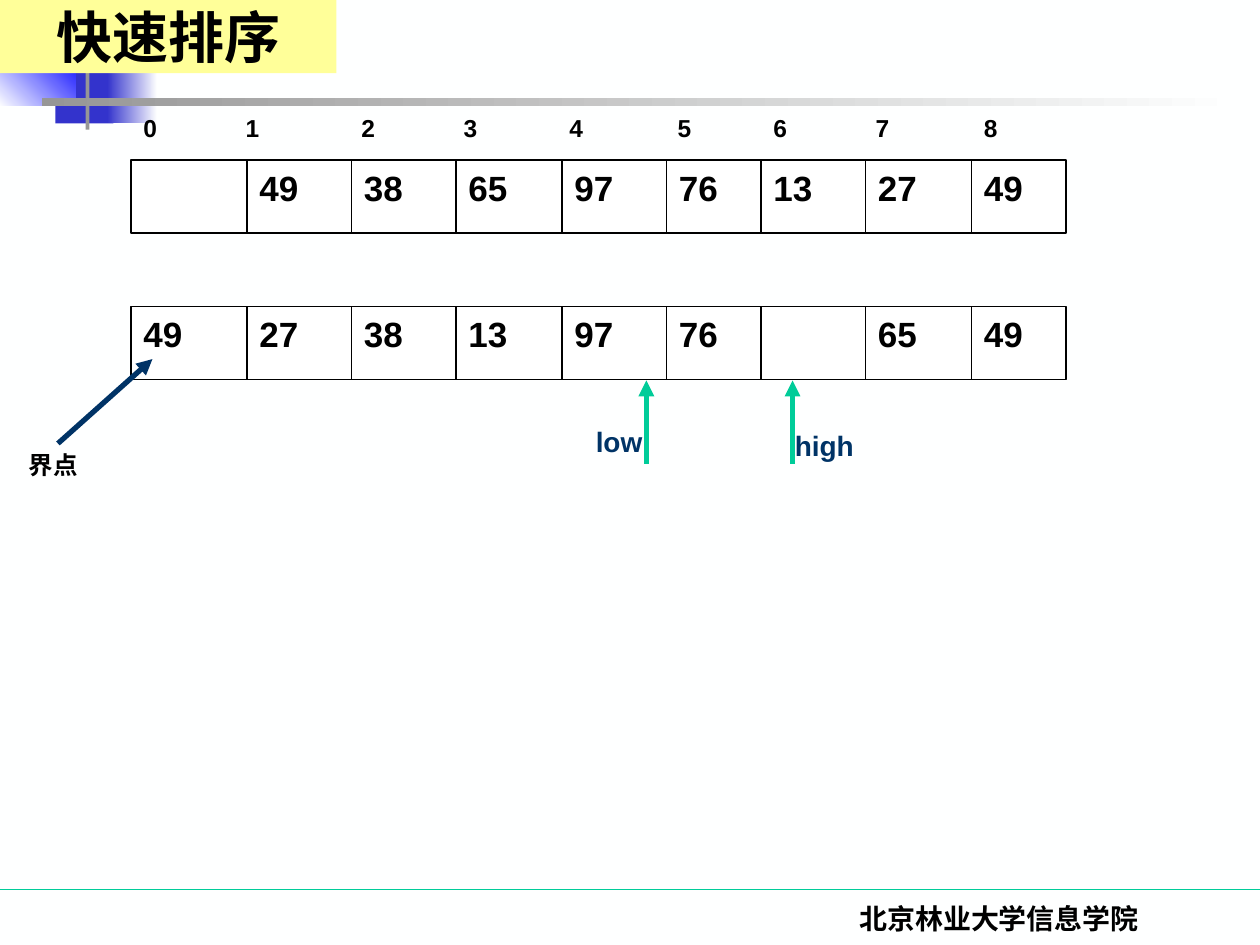
from pptx import Presentation
from pptx.dml.color import RGBColor
from pptx.enum.shapes import MSO_CONNECTOR, MSO_SHAPE
from pptx.enum.text import MSO_ANCHOR, PP_ALIGN
from pptx.oxml.ns import qn
from pptx.util import Inches, Pt
from lxml.etree import SubElement

HUES = {
    "back": "FEFFFF", "white": "FFFFFF", "black": "000000", "navy": "003366",
    "green": "00CC99", "indigo": "3333CC", "blue": "0000FF",
    "gray": "969696", "yellow": "FFFF99",
}
RGB = {name: RGBColor.from_string(code) for name, code in HUES.items()}

# Text formats
CELL = {"size": Pt(20), "name": "Arial", "bold": True}
MARK = {"size": Pt(16), "name": "Arial", "bold": True}
NOTE = {"size": Pt(14), "name": "Arial", "bold": True}
FOOT = {"size": Pt(16), "name": "Times New Roman", "bold": True}
HEAD = {"size": Pt(32), "name": "Times New Roman", "bold": True}

prs = Presentation()
prs.slide_width, prs.slide_height = Inches(10), Inches(7.5)
slide = prs.slides.add_slide(prs.slide_layouts[6])
slide.background.fill.solid()
slide.background.fill.fore_color.rgb = RGB["back"]
shapes = slide.shapes


def put_text(text, box, style, hue="black", align=PP_ALIGN.LEFT, host=None):
    host = host or shapes.add_textbox(*map(Inches, box))
    frame = host.text_frame
    frame.word_wrap = True
    para = frame.paragraphs[0]
    para.text = text
    para.alignment = align
    for run in para.runs:
        for key, value in style.items():
            setattr(run.font, key, value)
        run.font.color.rgb = RGB[hue]
    return para


def put_line(x1, y1, x2, y2, hue, width=0.75, arrow=False):
    line = shapes.add_connector(
        MSO_CONNECTOR.STRAIGHT, *map(Inches, (x1, y1, x2, y2)))
    line.line.color.rgb = RGB[hue]
    line.line.width = Pt(width)
    if arrow:
        SubElement(line.line._get_or_add_ln(), qn("a:tailEnd"), type="triangle")
    SubElement(line._element.spPr, qn("a:effectLst"))


# Footer rule and corner ornament: box, hues, gradient angle
put_line(0, 7.06, 10, 7.06, "green")
ORNAMENT = [
    ((0.31, 0, 0.48, 0.52), ["navy"], 0),
    ((0.72, 0, 0.36, 0.52), ["navy", "back"], 0),
    ((0.44, 0.46, 0.46, 0.52), ["indigo"], 0),
    ((0.85, 0.46, 0.4, 0.52), ["indigo", "back"], 0),
    ((-0.01, 0.38, 0.61, 0.46), ["back", "blue"], 45),
    ((0.68, -0.12, 0.03, 1.15), ["gray"], 0),
    ((0.33, 0.78, 9.51, 0.06), ["gray", "back"], 0),
]
for box, hues, angle in ORNAMENT:
    block = shapes.add_shape(MSO_SHAPE.RECTANGLE, *map(Inches, box))
    block.shadow.inherit = False
    block.line.fill.background()
    if len(hues) == 1:
        block.fill.solid()
        block.fill.fore_color.rgb = RGB[hues[0]]
    else:
        block.fill.gradient()
        block.fill.gradient_angle = angle
        for stop, hue in zip(block.fill.gradient_stops, hues):
            stop.color.rgb = RGB[hue]

put_text("北京林业大学信息学院", (5.86, 7.11, 4.14, 0.5), FOOT,
         align=PP_ALIGN.CENTER)

# Index row, spaced by tab stops
index = put_text("\t".join(map(str, range(9))), (1.04, 0.85, 7.42, 0.34), NOTE)
tabs = SubElement(index._p.get_or_add_pPr(), qn("a:tabLst"))
for stop in (0.81, 1.73, 2.54, 3.38, 4.24, 5, 5.81, 6.67):
    SubElement(tabs, qn("a:tab"), pos=str(Inches(stop)), algn="l")

# Arrays before and during the partition
LEFTS = [1.04, 1.96, 2.79, 3.62, 4.46, 5.29, 6.04, 6.87, 7.71]
ROWS = [
    (1.27, ["", "49", "38", "65", "97", "76", "13", "27", "49"]),
    (2.43, ["49", "27", "38", "13", "97", "76", "", "65", "49"]),
]
TALL = 0.58
for top, values in ROWS:
    frame = shapes.add_shape(
        MSO_SHAPE.RECTANGLE, *map(Inches, (LEFTS[0], top, 7.42, TALL)))
    frame.shadow.inherit = False
    frame.fill.solid()
    frame.fill.fore_color.rgb = RGB["white"]
    frame.line.color.rgb = RGB["black"]
    frame.line.width = Pt(0.75)
    for left in LEFTS[1:]:
        put_line(left, top, left, top + TALL, "black")
    for left, value in zip(LEFTS, values):
        if value:
            put_text(value, (left, top, 0.67, 0.44), CELL)

# Pointers
for label, x, left, top in [("high", 6.29, 6.21, 3.35), ("low", 5.13, 4.63, 3.32)]:
    put_line(x, 3.68, x, 3.02, "green", 3, True)
    put_text(label, (left, top, 0.92, 0.37), MARK, "navy")

# Pivot
put_text("界点", (0.13, 3.52, 0.83, 0.34), NOTE)
put_line(0.46, 3.52, 1.21, 2.85, "navy", 3, True)

# Title
title = shapes.add_shape(MSO_SHAPE.RECTANGLE, 0, 0, Inches(2.67), Inches(0.58))
title.shadow.inherit = False
title.fill.solid()
title.fill.fore_color.rgb = RGB["yellow"]
title.line.fill.background()
title.text_frame.vertical_anchor = MSO_ANCHOR.MIDDLE
put_text("快速排序", None, HEAD, align=PP_ALIGN.CENTER, host=title)

prs.save("out.pptx")
